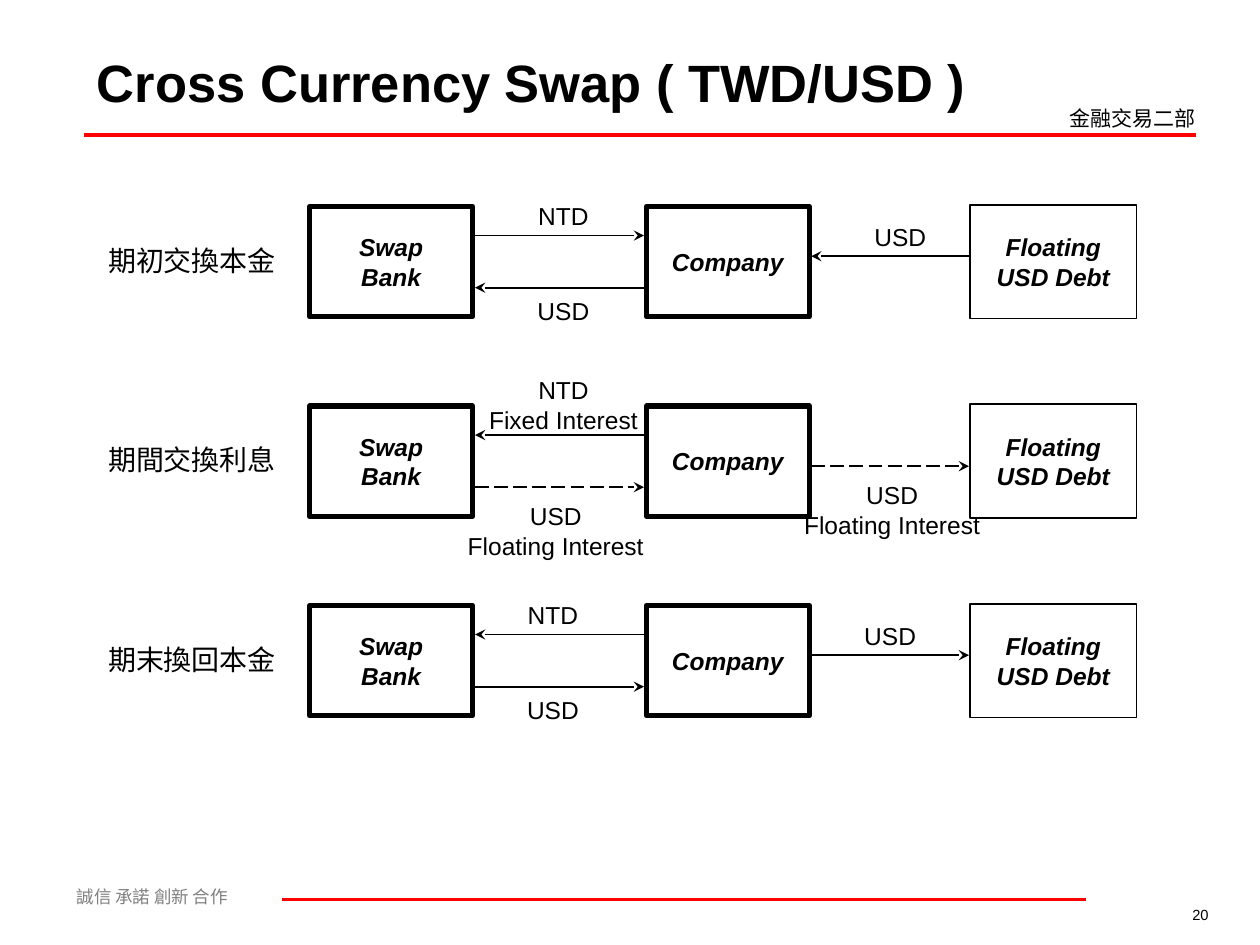
"""Build the cross currency swap slide: three stages of flows between three parties."""
from lxml.etree import SubElement
from pptx import Presentation
from pptx.dml.color import RGBColor
from pptx.enum.dml import MSO_LINE
from pptx.enum.shapes import MSO_CONNECTOR, MSO_SHAPE
from pptx.enum.text import MSO_ANCHOR, PP_ALIGN
from pptx.oxml.ns import qn
from pptx.util import Pt

BLACK = RGBColor(0, 0, 0)
WHITE = RGBColor(255, 255, 255)
RED = RGBColor(255, 0, 0)
GRAY = RGBColor(128, 128, 128)
CJK = "Noto Sans CJK SC"

TITLE = "Cross Currency Swap ( TWD/USD )"
MARGIN_TEXTS = [
    ("誠信 承諾 創新 合作", (36.7, 502.5, 181.5, 19.5), dict(size=10, font=CJK, color=GRAY)),
    ("金融交易二部", (604, 57, 91, 21.5), dict(size=12, font=CJK)),
    ("20", (598.3, 514, 99.4, 17.3), dict(size=8.4, align=PP_ALIGN.RIGHT)),
]
RULES = [(48.2, 683.3, 77), (161.3, 620.6, 514)]

PARTIES = [
    ("Swap\nBank", 177, 0, 93, 63, 3),
    ("Company", 369.4, 0, 93, 63, 3),
    ("Floating\nUSD Debt", 554.4, -1, 95, 65, 1),
]
BANK_GAP, DEBT_GAP = (271.5, 368), (463.6, 553.7)
RIGHT, LEFT = "tailEnd", "headEnd"
UPPER, LOWER = 16.6, 46.4

# Each flow: gap, arrow offset, direction, dashed, label, label centre, label offset
STAGES = [
    ("期初交換本金", [
        (BANK_GAP, UPPER, RIGHT, False, "NTD", 322, -6.5),
        (BANK_GAP, LOWER, LEFT, False, "USD", 322, 47.5),
        (DEBT_GAP, 28.4, LEFT, False, "USD", 514.5, 5.2),
    ]),
    ("期間交換利息", [
        (BANK_GAP, UPPER, LEFT, False, "NTD\nFixed Interest", 322, -21),
        (BANK_GAP, LOWER, RIGHT, True, "USD\nFloating Interest", 317.6, 51),
        (DEBT_GAP, 34.4, RIGHT, True, "USD\nFloating Interest", 509.8, 39),
    ]),
    ("期末換回本金", [
        (BANK_GAP, UPPER, LEFT, False, "NTD", 316, -6.5),
        (BANK_GAP, LOWER, RIGHT, False, "USD", 316, 47.5),
        (DEBT_GAP, 28.4, RIGHT, False, "USD", 508.7, 5.5),
    ]),
]
FIRST_TOP, PITCH = 118, 114


def write(sp, text, size=14, font="Arial", ea=CJK, color=BLACK, bold=False, italic=False,
          align=PP_ALIGN.LEFT, anchor=MSO_ANCHOR.TOP, wrap=True):
    tf = sp.text_frame
    tf.word_wrap = wrap
    tf.vertical_anchor = anchor
    tf.text = text
    for p in tf.paragraphs:
        p.alignment = align
        for r in p.runs:
            f = r.font
            f.size, f.name, f.bold, f.italic = Pt(size), font, bold, italic
            f.color.rgb = color
            r.font.fill.solid()
            f.color.rgb = color
            SubElement(r._r.get_or_add_rPr(), qn("a:ea"), typeface=ea)


def add_text(shapes, text, box, **fmt):
    write(shapes.add_textbox(*map(Pt, box)), text, **fmt)


def add_line(shapes, x1, x2, y, color=BLACK, width=1, arrow=None, dashed=False):
    s = shapes.add_connector(MSO_CONNECTOR.STRAIGHT, Pt(x1), Pt(y), Pt(x2), Pt(y))
    s.line.color.rgb = color
    s.line.width = Pt(width)
    if dashed:
        s.line.dash_style = MSO_LINE.LONG_DASH
    if arrow:
        SubElement(s.line._get_or_add_ln(), qn(f"a:{arrow}"), type="stealth")
    SubElement(s._element.spPr, qn("a:effectLst"))


def add_party(shapes, top, name, x, dy, w, h, border):
    sp = shapes.add_shape(MSO_SHAPE.RECTANGLE, Pt(x), Pt(top + dy), Pt(w), Pt(h))
    sp.shadow.inherit = False
    sp.fill.solid()
    sp.fill.fore_color.rgb = WHITE
    sp.line.color.rgb = BLACK
    sp.line.width = Pt(border)
    write(sp, name, bold=True, italic=True, align=PP_ALIGN.CENTER,
          anchor=MSO_ANCHOR.MIDDLE, wrap=False)


def add_stage(shapes, top, name, flows):
    for party in PARTIES:
        add_party(shapes, top, *party)
    for (x1, x2), dy, arrow, dashed, *_ in flows:
        add_line(shapes, x1, x2, top + dy, arrow=arrow, dashed=dashed)
    add_text(shapes, name, (54.7, top + 17.4, 110, 26.6), size=16, font="Vollkorn", wrap=False)
    for *_, label, centre, dy in flows:
        w, h = (115, 41) if "\n" in label else (44, 24)
        add_text(shapes, label, (centre - w / 2, top + dy, w, h),
                 align=PP_ALIGN.CENTER, wrap=False)


def main():
    prs = Presentation()
    prs.slide_width, prs.slide_height = Pt(720), Pt(540)
    slide = prs.slides.add_slide(prs.slide_layouts[5])
    shapes = slide.shapes

    title = shapes.title
    title.left, title.top, title.width, title.height = map(Pt, (48.2, 21.6, 527, 49.7))
    write(title, TITLE, size=30, bold=True, anchor=MSO_ANCHOR.MIDDLE)

    for text, box, fmt in MARGIN_TEXTS:
        add_text(shapes, text, box, **fmt)
    for x1, x2, y in RULES:
        add_line(shapes, x1, x2, y, color=RED, width=2.25)
    for i, (name, flows) in enumerate(STAGES):
        add_stage(shapes, FIRST_TOP + i * PITCH, name, flows)

    prs.save("out.pptx")


if __name__ == "__main__":
    main()
